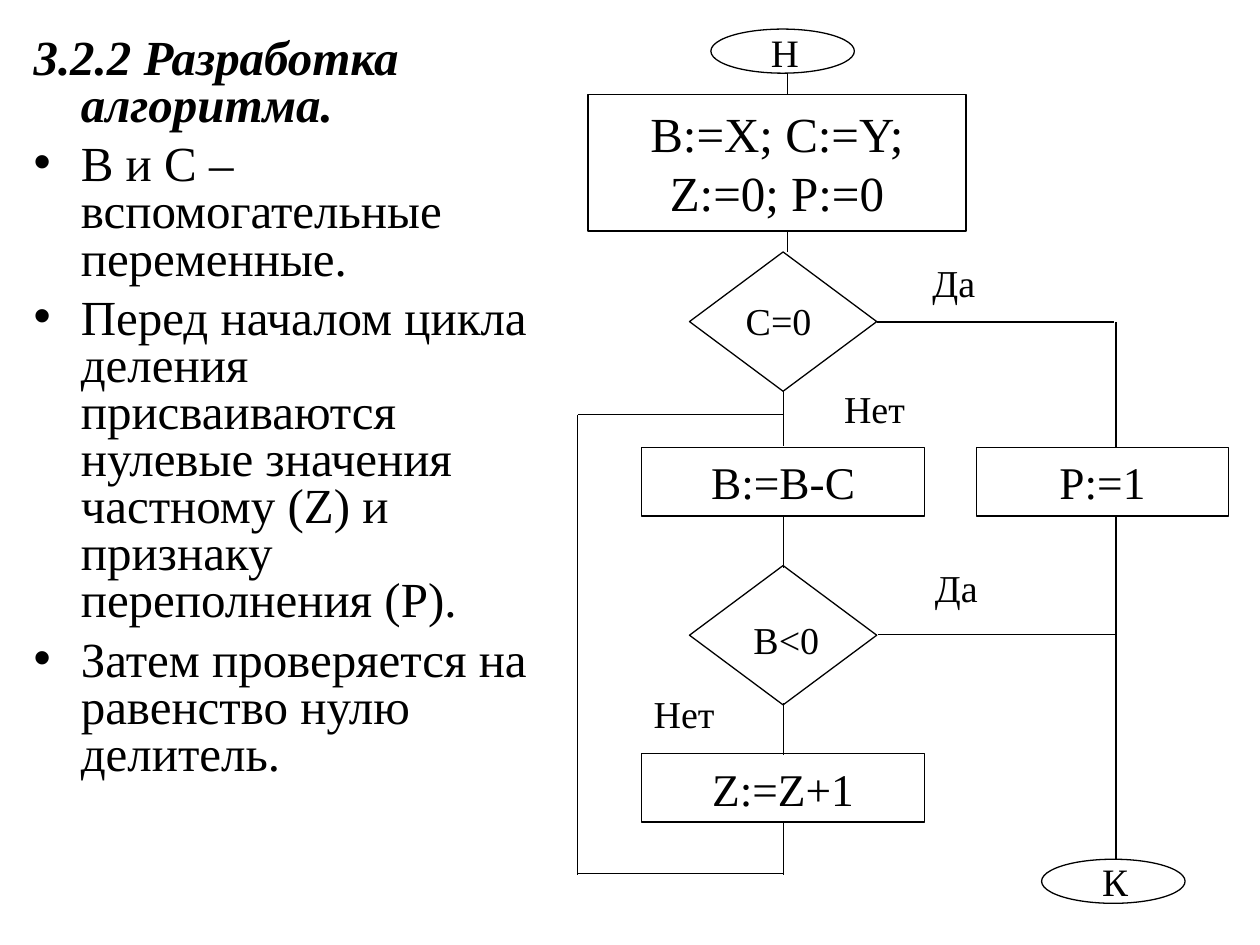
"""Builds the slide with the division algorithm notes and its flowchart."""
from lxml import etree
from pptx import Presentation
from pptx.dml.color import RGBColor
from pptx.enum import shapes, text
from pptx.oxml.ns import qn
from pptx.util import Pt

FONT = "Times New Roman"
INK, PAPER = "000000", "FFFFFF"
HEADING = "3.2.2 Разработка алгоритма."
BULLETS = [
    "B и C – вспомогательные переменные.",
    "Перед началом цикла деления присваиваются нулевые значения частному (Z) "
    "и признаку переполнения (P).",
    "Затем проверяется на равенство нулю делитель.",
]

KINDS = {
    "terminal": (shapes.MSO_SHAPE.OVAL, 82, 25.2),
    "setup": (shapes.MSO_SHAPE.RECTANGLE, 216, 78),
    "test": (shapes.MSO_SHAPE.DIAMOND, 107, 79.6),
    "step": (shapes.MSO_SHAPE.RECTANGLE, 162, 39.2),
    "flag": (shapes.MSO_SHAPE.RECTANGLE, 144, 39.2),
}
NODES = [
    ("terminal", 406.2, 16.6, [], 0),
    ("setup", 336, 54, ["B:=X; C:=Y;", "Z:=0; P:=0"], 28),
    ("test", 394, 144, [], 0),
    ("step", 366.5, 255.6, ["B:=B-C"], 25.9),
    ("test", 394, 323.2, [], 0),
    ("step", 366.5, 430.6, ["Z:=Z+1"], 25.9),
    ("flag", 558, 255.6, ["P:=1"], 25.9),
    ("terminal", 595.2, 491, [], 0),
]
LABEL_SIZE = (109.4, 34.6)
LABELS = [
    ("Н", 393.8, 12.4, 22.2),
    ("C=0", 390.2, 165.6, 21.7),
    ("B<0", 394.6, 347.8, 21.7),
    ("К", 582.5, 486, 22.2),
    ("Да", 490.3, 144, 21.7),
    ("Нет", 445, 216, 21.7),
    ("Да", 491.8, 318.2, 21.7),
    ("Нет", 336.2, 390.2, 21.7),
]

LOOP_X, MAIN_X, START_X, EXIT_X = 330.2, 447.6, 450, 637.8
LOOP_TOP, LOOP_BOTTOM = 236.9, 499.2
VERTICALS = [
    (START_X, 41.8, 54),
    (START_X, 132, 144),
    (MAIN_X, 223.6, 255),
    (MAIN_X, 294.8, 324.6),
    (MAIN_X, 402, 431.2),
    (MAIN_X, 470, 500),
    (LOOP_X, LOOP_TOP, 500),
    (EXIT_X, 184, 256.2),
    (EXIT_X, 294.8, 491.4),
]
HORIZONTALS = [
    (184, 501, 636.8),
    (362.4, 501.8, EXIT_X),
    (LOOP_TOP, LOOP_X, MAIN_X),
    (LOOP_BOTTOM, LOOP_X, MAIN_X),
]


def rgb(value):
    return RGBColor.from_string(value)


def add_run(p, words, size, strong=False):
    r = p.add_run()
    r.text = words
    r.font.name, r.font.size = FONT, Pt(size)
    r.font.bold = r.font.italic = strong
    r.font.color.rgb = rgb(INK)


def fill_centred(sp, lines, size):
    tf = sp.text_frame
    tf.word_wrap = True
    tf.vertical_anchor = text.MSO_ANCHOR.MIDDLE
    for i, words in enumerate(lines):
        p = tf.add_paragraph() if i else tf.paragraphs[0]
        p.alignment = text.PP_ALIGN.CENTER
        add_run(p, words, size)


def add_notes(s):
    body = s.placeholders[1]
    body.left, body.top, body.width, body.height = map(Pt, (12, 18, 300, 474))
    tf = body.text_frame
    tf.word_wrap = True
    tf.auto_size = text.MSO_AUTO_SIZE.NONE
    tf.vertical_anchor = text.MSO_ANCHOR.TOP
    for i, words in enumerate([HEADING] + BULLETS):
        p = tf.add_paragraph() if i else tf.paragraphs[0]
        p.line_spacing, p.space_before = 0.8, Pt(7)
        pPr = p._p.get_or_add_pPr()
        pPr.set("marL", str(Pt(27)))
        pPr.set("indent", str(-Pt(27)))
        if i:
            etree.SubElement(pPr, qn("a:buChar")).set("char", "•")
        else:
            etree.SubElement(pPr, qn("a:buNone"))
        add_run(p, words, 28, strong=i == 0)


def add_node(s, kind, x, y, lines, size):
    preset, w, h = KINDS[kind]
    sp = s.shapes.add_shape(preset, Pt(x), Pt(y), Pt(w), Pt(h))
    sp.shadow.inherit = False
    sp.fill.solid()
    sp.fill.fore_color.rgb = rgb(PAPER)
    sp.line.color.rgb = rgb(INK)
    sp.line.width = Pt(0.75)
    fill_centred(sp, lines, size)


def add_line(s, x1, y1, x2, y2):
    c = s.shapes.add_connector(shapes.MSO_CONNECTOR.STRAIGHT, Pt(x1), Pt(y1), Pt(x2), Pt(y2))
    c.line.color.rgb = rgb(INK)
    c.line.width = Pt(0.75)
    etree.SubElement(c._element.spPr, qn("a:effectLst"))


def main():
    prs = Presentation()
    prs.slide_width, prs.slide_height = Pt(720), Pt(540)
    s = prs.slides.add_slide(prs.slide_layouts[1])
    title = s.shapes.title._element
    title.getparent().remove(title)
    add_notes(s)
    for node in NODES:
        add_node(s, *node)
    for x, top, bottom in VERTICALS:
        add_line(s, x, top, x, bottom)
    for y, left, right in HORIZONTALS:
        add_line(s, left, y, right, y)
    for words, x, y, size in LABELS:
        box = s.shapes.add_textbox(Pt(x), Pt(y), *map(Pt, LABEL_SIZE))
        fill_centred(box, [words], size)
    prs.save("out.pptx")


if __name__ == "__main__":
    main()
